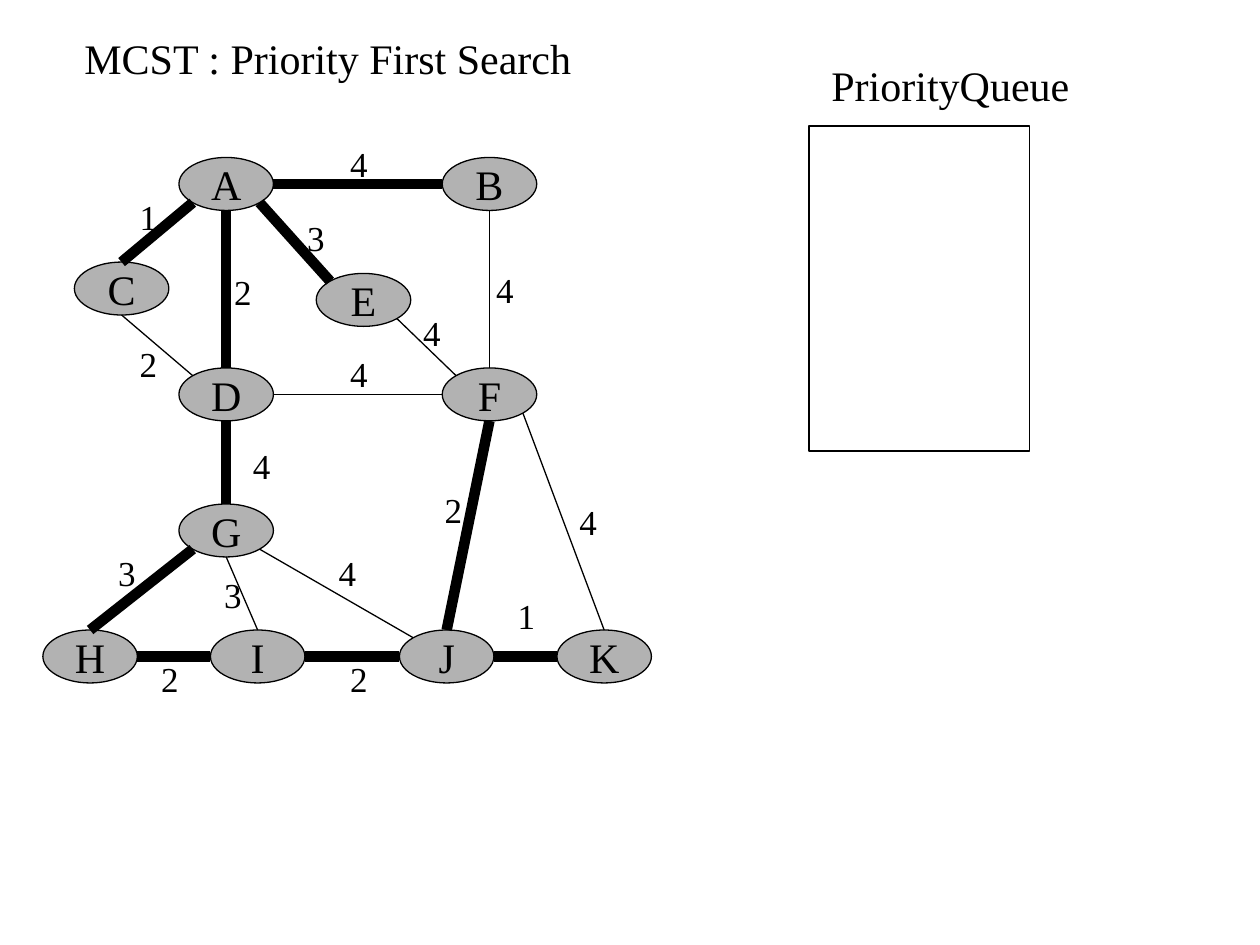
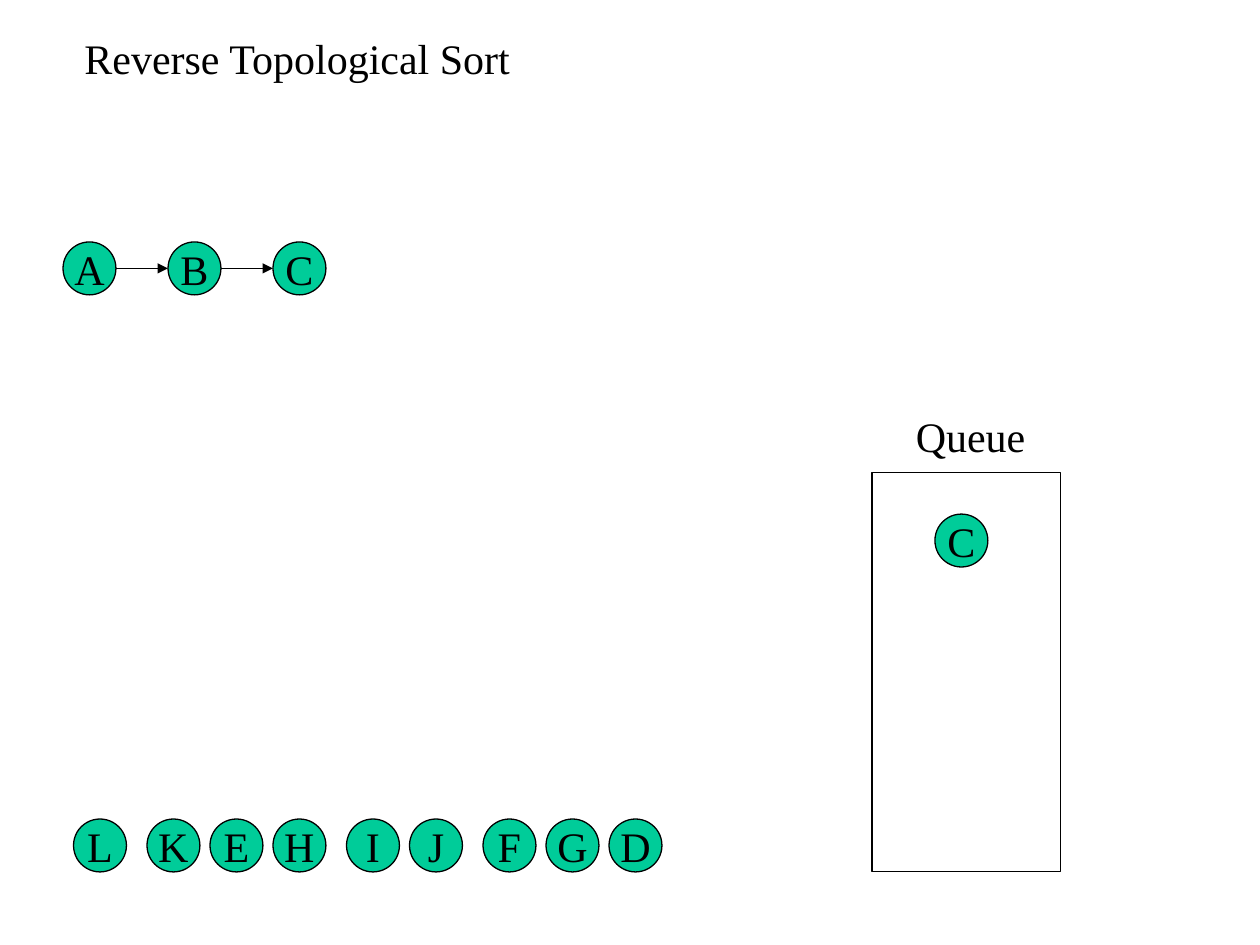
from dataclasses import dataclass
from math import sqrt

from lxml import etree
from pptx import Presentation
from pptx import util as u
from pptx.dml.color import RGBColor
from pptx.enum import shapes, text
from pptx.oxml.ns import qn

FONT = "Times New Roman"
BLACK = "000000"
GRAY = "B2B2B2"
GREEN = "00CC99"
HEADING_SIZE = 24
WEIGHT_SIZE = 20
THIN, TREE, HAIR = 0.75, 6, 0.25
NODE_HEIGHT = 0.42
DIAGONAL = 1 / sqrt(2)
COMPASS = {
    "N": (0, -1), "S": (0, 1), "W": (-1, 0), "E": (1, 0),
    "NW": (-DIAGONAL, -DIAGONAL), "NE": (DIAGONAL, -DIAGONAL),
    "SW": (-DIAGONAL, DIAGONAL), "SE": (DIAGONAL, DIAGONAL),
}


@dataclass(frozen=True)
class Node:
    name: str
    left: float
    top: float
    width: float
    fill: str

    def site(self, direction: str) -> tuple[float, float]:
        across, down = COMPASS[direction]
        return (self.left + self.width / 2 * (1 + across),
                self.top + NODE_HEIGHT / 2 * (1 + down))


@dataclass(frozen=True)
class Edge:
    start: str
    leave: str
    end: str
    enter: str
    line: float
    weight: str
    left: float
    top: float


@dataclass(frozen=True)
class Queue:
    name: str
    label: tuple[float, float, float, float]
    frame: tuple[float, float, float, float]


GRAPH_NODES = [
    Node(name, left, top, 0.75, GRAY)
    for name, left, top in [
        ("A", 1.42, 1.25), ("B", 3.51, 1.25), ("C", 0.59, 2.08),
        ("D", 1.42, 2.92), ("E", 2.51, 2.17), ("F", 3.51, 2.92),
        ("G", 1.42, 4), ("H", 0.34, 5), ("I", 1.67, 5),
        ("J", 3.17, 5), ("K", 4.42, 5),
    ]
]
GRAPH_EDGES = [
    Edge("A", "E", "B", "W", TREE, "4", 2.68, 1.08),
    Edge("A", "SW", "C", "N", TREE, "1", 1.01, 1.5),
    Edge("A", "S", "D", "N", TREE, "2", 1.76, 2.1),
    Edge("A", "SE", "E", "NW", TREE, "3", 2.34, 1.67),
    Edge("B", "S", "F", "N", THIN, "4", 3.84, 2.08),
    Edge("E", "SE", "F", "NW", THIN, "4", 3.26, 2.42),
    Edge("D", "E", "F", "W", HAIR, "4", 2.68, 2.75),
    Edge("D", "S", "G", "N", TREE, "4", 1.91, 3.48),
    Edge("G", "SW", "H", "N", TREE, "3", 0.84, 4.33),
    Edge("G", "S", "I", "N", THIN, "3", 1.68, 4.5),
    Edge("G", "SE", "J", "NW", THIN, "4", 2.59, 4.33),
    Edge("F", "S", "J", "N", TREE, "2", 3.43, 3.83),
    Edge("F", "SE", "K", "N", THIN, "4", 4.5, 3.92),
    Edge("J", "E", "K", "W", TREE, "1", 4.01, 4.67),
    Edge("C", "S", "D", "NW", THIN, "2", 1.01, 2.67),
    Edge("H", "E", "I", "W", TREE, "2", 1.18, 5.17),
    Edge("I", "E", "J", "W", TREE, "2", 2.68, 5.17),
]
PRIORITY_QUEUE = Queue("PriorityQueue", (6.5, 0.42, 2.09, 0.5), (6.42, 1, 1.75, 2.58))
SORT_QUEUE = Queue("Queue", (7.17, 3.21, 1.07, 0.5), (6.92, 3.75, 1.5, 3.17))
CHAIN_LEFT, CHAIN_STEP, CHAIN_TOP = 0.5, 5 / 6, 1.92
SORTED_GROUPS = ["L", "KEH", "IJ", "FGD"]
SORTED_LEFT, SORTED_TOP = 7 / 12, 6.5
SORTED_STEP, GROUP_GAP = 0.5, 1 / 12


def color(value: str) -> RGBColor:
    return RGBColor.from_string(value)


def write(frame, wording: str, size: float, centered: bool = False) -> None:
    frame.word_wrap = False
    frame.vertical_anchor = text.MSO_ANCHOR.MIDDLE if centered else text.MSO_ANCHOR.TOP
    frame.auto_size = text.MSO_AUTO_SIZE.NONE if centered else text.MSO_AUTO_SIZE.SHAPE_TO_FIT_TEXT
    para = frame.paragraphs[0]
    para.alignment = text.PP_ALIGN.CENTER if centered else text.PP_ALIGN.LEFT
    span = para.add_run()
    span.text = wording
    span.font.name = FONT
    span.font.size = u.Pt(size)
    span.font.color.rgb = color(BLACK)


def add_page(deck, title: str, width: float):
    page = deck.slides.add_slide(deck.slide_layouts[5])
    box = page.shapes.title
    box.left, box.top = u.Inches(0.57), u.Inches(0.21)
    box.width, box.height = u.Inches(width), u.Inches(0.5)
    write(box.text_frame, title, HEADING_SIZE)
    return page


def add_label(page, wording: str, size: float, left: float, top: float,
              width: float, height: float) -> None:
    box = page.shapes.add_textbox(*map(u.Inches, (left, top, width, height)))
    write(box.text_frame, wording, size)


def add_outlined(page, kind, left: float, top: float, width: float, height: float):
    shape = page.shapes.add_shape(kind, *map(u.Inches, (left, top, width, height)))
    shape.shadow.inherit = False
    shape.fill.background()
    shape.line.color.rgb = color(BLACK)
    shape.line.width = u.Pt(THIN)
    return shape


def add_node(page, node: Node) -> None:
    oval = add_outlined(page, shapes.MSO_SHAPE.OVAL, node.left, node.top,
                        node.width, NODE_HEIGHT)
    oval.fill.solid()
    oval.fill.fore_color.rgb = color(node.fill)
    write(oval.text_frame, node.name, HEADING_SIZE, centered=True)


def add_line(page, start: tuple[float, float], end: tuple[float, float],
             width: float, arrow: bool = False) -> None:
    line = page.shapes.add_connector(shapes.MSO_CONNECTOR.STRAIGHT,
                                     *map(u.Inches, (*start, *end)))
    line.line.color.rgb = color(BLACK)
    line.line.width = u.Pt(width)
    if arrow:
        outline = line.line._get_or_add_ln()
        etree.SubElement(outline, qn("a:tailEnd"), type="triangle")
    etree.SubElement(line._element.spPr, qn("a:effectLst"))


def add_queue(page, queue: Queue) -> None:
    add_outlined(page, shapes.MSO_SHAPE.RECTANGLE, *queue.frame)
    add_label(page, queue.name, HEADING_SIZE, *queue.label)


def circle(name: str, left: float, top: float) -> Node:
    return Node(name, left, top, NODE_HEIGHT, GREEN)


def build_spanning_tree(deck) -> None:
    page = add_page(deck, "MCST : Priority First Search", 4.07)
    nodes = {node.name: node for node in GRAPH_NODES}
    for node in GRAPH_NODES:
        add_node(page, node)
    for edge in GRAPH_EDGES:
        add_line(page, nodes[edge.start].site(edge.leave),
                 nodes[edge.end].site(edge.enter), edge.line)
    for edge in GRAPH_EDGES:
        add_label(page, edge.weight, WEIGHT_SIZE, edge.left, edge.top, 0.34, 0.44)
    add_queue(page, PRIORITY_QUEUE)


def build_topological_sort(deck) -> None:
    page = add_page(deck, "Reverse Topological Sort", 3.6)
    chain = [circle(name, CHAIN_LEFT + index * CHAIN_STEP, CHAIN_TOP)
             for index, name in enumerate("ABC")]
    for node in chain:
        add_node(page, node)
    for before, after in zip(chain, chain[1:]):
        add_line(page, before.site("E"), after.site("W"), THIN, arrow=True)
    add_queue(page, SORT_QUEUE)
    left = SORTED_LEFT
    for group in SORTED_GROUPS:
        for name in group:
            add_node(page, circle(name, left, SORTED_TOP))
            left += SORTED_STEP
        left += GROUP_GAP
    add_node(page, circle("C", 7.42, 4.08))


def main() -> None:
    deck = Presentation()
    deck.slide_width, deck.slide_height = u.Inches(10), u.Inches(7.5)
    build_spanning_tree(deck)
    build_topological_sort(deck)
    deck.save("out.pptx")


if __name__ == "__main__":
    main()
